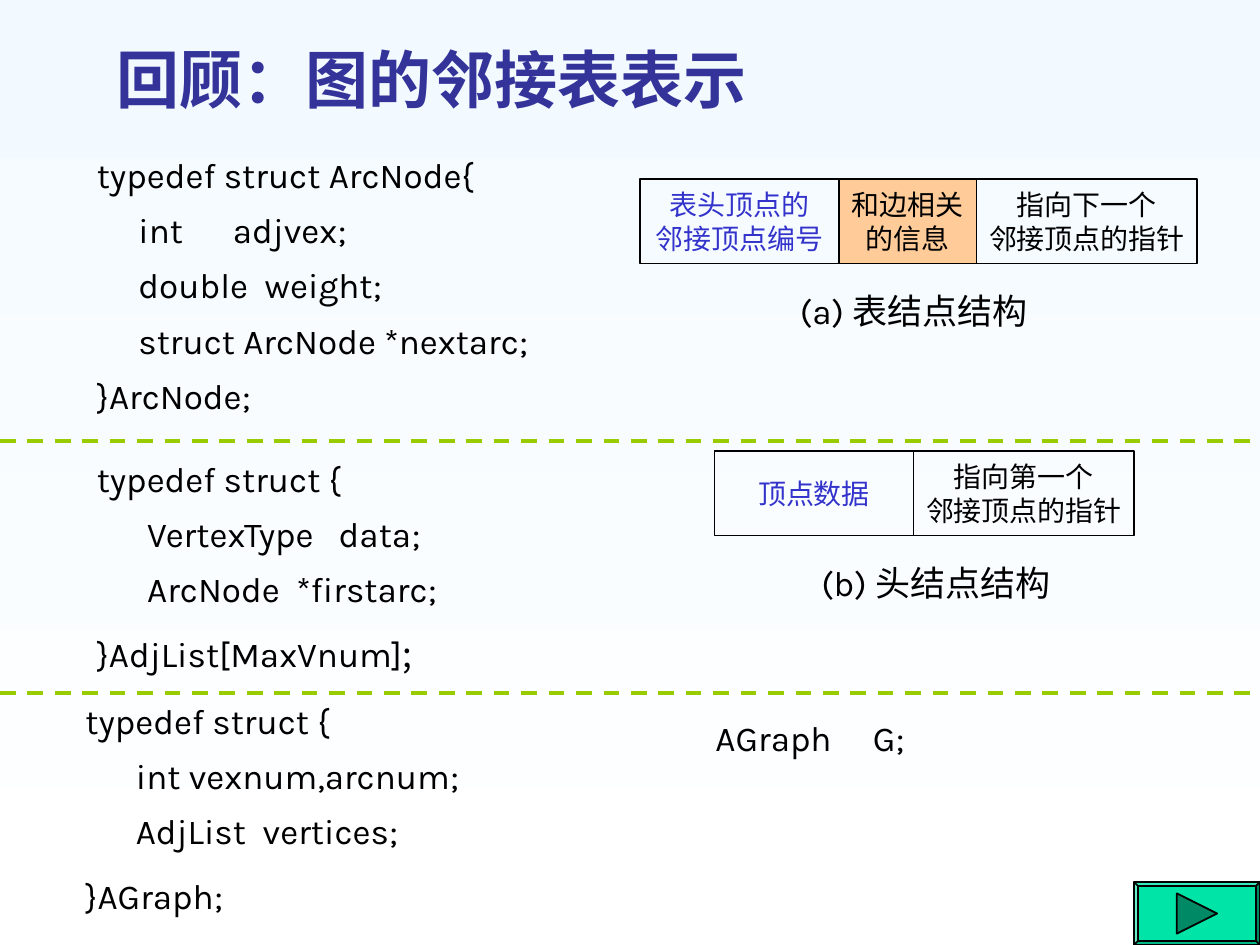
import pptx
import pptx.util
import pptx.dml.color
import pptx.enum.dml
import pptx.enum.shapes
import pptx.enum.text
import pptx.oxml
import pptx.oxml.ns
from dataclasses import dataclass

Inches = pptx.util.Inches
Pt = pptx.util.Pt
KIND = pptx.enum.shapes.MSO_SHAPE
ANCHOR = pptx.enum.text.MSO_ANCHOR
CENTER = pptx.enum.text.PP_ALIGN.CENTER


@dataclass(frozen=True)
class Theme:
    font: str = "Karla"
    han: str = "Noto Sans CJK SC"
    ink: str = "000000"
    head: str = "333399"
    key: str = "3333CC"
    info: str = "FFCC99"
    rule: str = "99CC00"
    button: str = "00E4A8"
    arrow: str = "008965"
    sky: tuple = ("F3FAFF", "FFFFFF")
    big: int = 36
    body: int = 20
    small: int = 16


T = Theme()
TITLE = ("回顾：图的邻接表表示", (0.83, 0.33, 6.61, 0.58))

# box, indent, tab size, lead before the last line, lines, last mark
CODE = [
    ((0.67, 1.17, 5.08, 2.19), 0.33, 0.75, 7.5,
     ["typedef struct ArcNode{", "int\tadjvex;", "double  weight;",
      "struct ArcNode *nextarc;", "}ArcNode;"], ""),
    ((0.67, 3.58, 5, 1.84), 0.4, 1.52, 13,
     ["typedef struct {", "VertexType\tdata;", "ArcNode  *firstarc;",
      "}AdjList[MaxVnum]"], ";"),
    ((0.58, 5.5, 3.67, 1.84), 0.4, 0, 13,
     ["typedef struct {", "int vexnum,arcnum;", "AdjList  vertices;",
      "}AGraph;"], ""),
    ((5.58, 5.64, 3.67, 0.44), 0, 1.25, 7.5, ["AGraph\tG;"], ""),
]

# left, top, cells (width, lines, ink, fill), caption, caption left
NODES = [
    (5.08, 1.42, [(1.58, ["表头顶点的", "邻接顶点编号"], T.key, None),
                  (1.09, ["和边相关", "的信息"], T.ink, T.info),
                  (1.75, ["指向下一个", "邻接顶点的指针"], T.ink, None)],
     "(a) 表结点结构", 6.25),
    (5.67, 3.58, [(1.58, ["顶点数据"], T.key, None),
                  (1.75, ["指向第一个", "邻接顶点的指针"], T.ink, None)],
     "(b) 头结点结构", 6.42),
]
CELL, GAP = 0.67, 0.83
LABEL = (2.2, 0.44)
RULES = [3.5, 5.5]
BUTTON, ARROW = (9, 7, 1, 0.5), (9.34, 7.09, 0.32, 0.32)


def rgb(code):
    return pptx.dml.color.RGBColor.from_string(code)


def style(font, size, ink, name=T.font, bold=False):
    font.size, font.name, font.bold = Pt(size), name, bold
    font.color.rgb = rgb(ink)


def box(slide, area):
    shape = slide.shapes.add_textbox(*map(Inches, area))
    shape.text_frame.word_wrap = True
    return shape.text_frame


def block(slide, kind, area, fill, width):
    shape = slide.shapes.add_shape(kind, *map(Inches, area))
    shape.shadow.inherit = False
    if fill:
        shape.fill.solid()
        shape.fill.fore_color.rgb = rgb(fill)
    else:
        shape.fill.background()
    shape.line.color.rgb = rgb(T.ink)
    shape.line.width = Pt(width)
    return shape


def write(frame, lines, size, ink):
    for i, line in enumerate(lines):
        para = frame.paragraphs[0] if i == 0 else frame.add_paragraph()
        para.add_run().text = line
        style(para.font, size, ink)
    return frame.paragraphs


def shift(para, left, tab):
    props = para._p.get_or_add_pPr()
    props.set("marL", str(Inches(left)))
    props.set("indent", "0")
    if tab:
        props.set("defTabSz", str(Inches(tab)))


def code(slide, area, indent, tab, lead, lines, mark):
    paras = write(box(slide, area), lines, T.body, T.ink)
    last = len(lines) - 1
    for i, para in enumerate(paras):
        para.space_before = Pt(lead if i == last else 7.5)
        inner = 0 < i < last
        shift(para, indent if inner else 0, tab if "\t" in lines[i] else 0)
    if mark:
        run = paras[last].add_run()
        run.text = mark
        run.font.name = T.han


def node(slide, left, top, cells, label, start):
    for width, lines, ink, fill in cells:
        cell = block(slide, KIND.RECTANGLE, (left, top, width, CELL), fill, 0.75)
        frame = cell.text_frame
        frame.word_wrap = False
        frame.vertical_anchor = ANCHOR.MIDDLE
        for para in write(frame, lines, T.small, ink):
            para.alignment = CENTER
        left += width
    frame = box(slide, (start, top + GAP, *LABEL))
    write(frame, [label], T.body, T.ink)[0].space_before = Pt(12.5)


def rule(slide, y):
    line = slide.shapes.add_connector(
        pptx.enum.shapes.MSO_CONNECTOR.STRAIGHT,
        Inches(0), Inches(y), Inches(10), Inches(y))
    line.line.color.rgb = rgb(T.rule)
    line.line.width = Pt(2.25)
    line.line.dash_style = pptx.enum.dml.MSO_LINE.DASH
    line._element.spPr.append(pptx.oxml.parse_xml(
        f'<a:effectLst {pptx.oxml.ns.nsdecls("a")}/>'))


def main():
    """Build the slide that reviews adjacency lists."""
    deck = pptx.Presentation()
    deck.slide_width, deck.slide_height = Inches(10), Inches(7.5)
    slide = deck.slides.add_slide(deck.slide_layouts[6])
    back = slide.background.fill
    back.gradient()
    back.gradient_angle = 270
    for stop, shade in zip(back.gradient_stops, T.sky):
        stop.color.rgb = rgb(shade)

    text, area = TITLE
    frame = box(slide, area)
    frame.vertical_anchor = ANCHOR.MIDDLE
    para = write(frame, [text], T.big, T.head)[0]
    style(para.font, T.big, T.head, T.han, True)
    for part in CODE:
        code(slide, *part)
    for part in NODES:
        node(slide, *part)
    for y in RULES:
        rule(slide, y)
    block(slide, KIND.BEVEL, BUTTON, T.button, 1).adjustments[0] = 0.06
    block(slide, KIND.ISOSCELES_TRIANGLE, ARROW, T.arrow, 1).rotation = 90
    deck.save("out.pptx")


if __name__ == "__main__":
    main()
